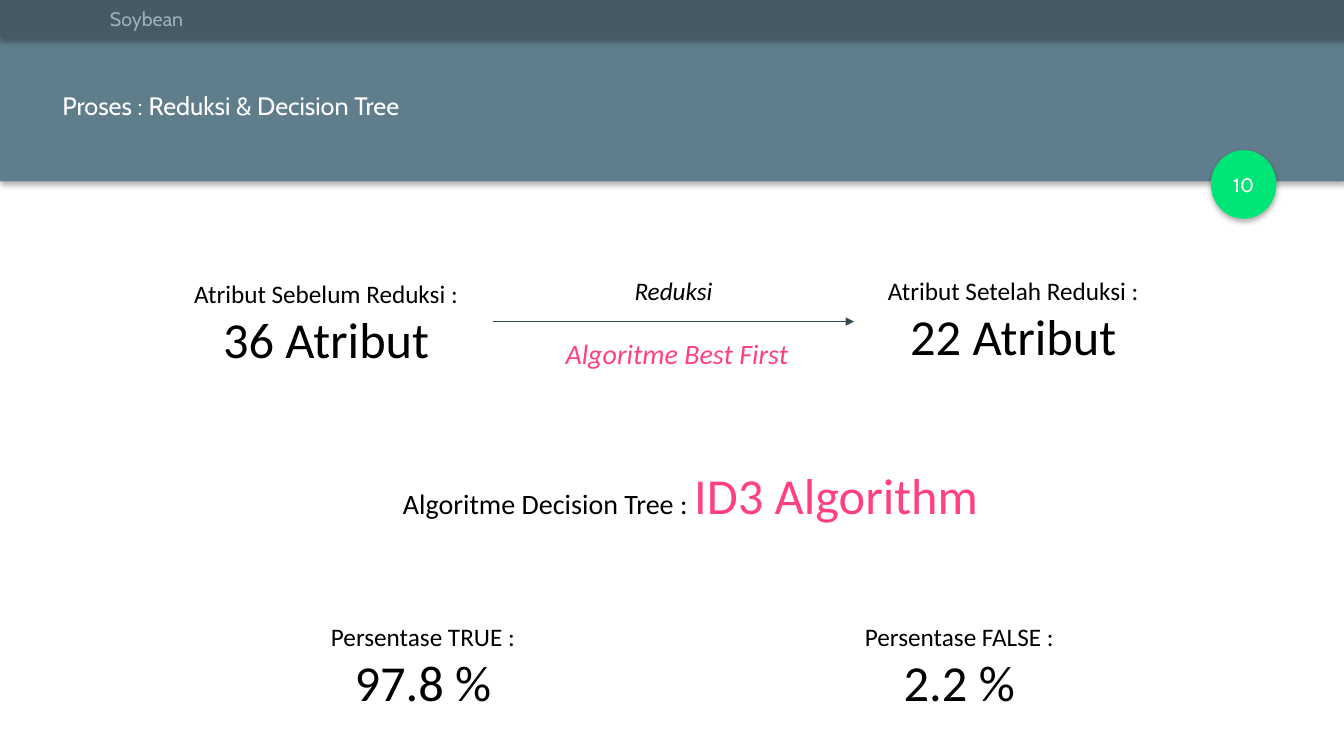
from lxml import etree
from pptx import Presentation
from pptx.dml.color import RGBColor
from pptx.enum.shapes import MSO_CONNECTOR, MSO_SHAPE
from pptx.enum.text import MSO_ANCHOR, MSO_AUTO_SIZE, PP_ALIGN
from pptx.oxml import parse_xml
from pptx.oxml.ns import nsdecls, qn
from pptx.util import Emu, Pt

RECT, OVAL = MSO_SHAPE.RECTANGLE, MSO_SHAPE.OVAL
STRAIGHT = MSO_CONNECTOR.STRAIGHT
LEFT, CENTER = PP_ALIGN.LEFT, PP_ALIGN.CENTER
MIDDLE = MSO_ANCHOR.MIDDLE
FIT_SHAPE = MSO_AUTO_SIZE.SHAPE_TO_FIT_TEXT

EMU_PER_PX = 9144
HEADING_FONT, BODY_FONT = "Cabin", "Calibri"
COLORS = {
    "title_bar": "607D8B",
    "top_bar": "455A64",
    "badge": "00E676",
    "muted": "9FAFB7",
    "accent": "FF4081",
    "arrow": "37474F",
    "white": "FFFFFF",
    "black": "000000",
}


def px(*values):
    return [Emu(v * EMU_PER_PX) for v in values]


def rgb(name):
    return RGBColor.from_string(COLORS[name])


def format_run(r, size, color, font, italic=False):
    r.font.size = Pt(size)
    r.font.name = font
    r.font.color.rgb = rgb(color)
    r.font.italic = italic


def add_shadow(sp):
    sp.shadow.inherit = False
    effects = sp._element.spPr.find(qn("a:effectLst"))
    effects.append(parse_xml(
        f'<a:outerShdw {nsdecls("a")} blurRad="{Pt(4)}" dist="{Pt(2)}" '
        'dir="5400000" algn="t" rotWithShape="0"><a:srgbClr val="000000">'
        '<a:alpha val="30000"/></a:srgbClr></a:outerShdw>'))


def add_panel(s, kind, box, fill, text="", color="white", align=CENTER, indent=10):
    sp = s.shapes.add_shape(kind, *px(*box))
    sp.fill.solid()
    sp.fill.fore_color.rgb = rgb(fill)
    sp.line.fill.background()
    add_shadow(sp)
    if text:
        tf = sp.text_frame
        tf.vertical_anchor = MIDDLE
        tf.margin_left, = px(indent)
        p = tf.paragraphs[0]
        p.text = text
        p.alignment = align
        format_run(p.runs[0], 14, color, HEADING_FONT)


def add_label(s, box, lines, font=BODY_FONT, italic=False):
    tf = s.shapes.add_textbox(*px(*box)).text_frame
    tf.word_wrap = False
    tf.auto_size = FIT_SHAPE
    for i, line in enumerate(lines):
        p = tf.add_paragraph() if i else tf.paragraphs[0]
        p.alignment = CENTER
        for text, size, color in line:
            r = p.add_run()
            r.text = text
            format_run(r, size, color, font, italic)


def add_figure(s, box, caption, value):
    add_label(s, box, [[(caption, 18, "black")], [(value, 36, "black")]])


def add_arrow(s, x1, y1, x2, y2):
    line = s.shapes.add_connector(STRAIGHT, *px(x1, y1, x2, y2))
    line.line.color.rgb = rgb("arrow")
    line.line.width = Pt(0.5)
    ln = line.line._get_or_add_ln()
    etree.SubElement(ln, qn("a:tailEnd"), type="triangle")
    etree.SubElement(line._element.spPr, qn("a:effectLst"))


def main():
    prs = Presentation()
    prs.slide_width, prs.slide_height = px(1333, 750)
    s = prs.slides.add_slide(prs.slide_layouts[6])

    add_panel(s, RECT, (0, 1, 1333, 179), "title_bar")
    add_label(s, (40, 85, 378, 40),
              [[("Proses : Reduksi & Decision Tree", 18, "white")]], HEADING_FONT)
    add_panel(s, RECT, (0, 0, 1333, 37), "top_bar", "Soybean", "muted", LEFT, 109)
    add_panel(s, OVAL, (1201, 149, 65, 68), "badge", "10")

    add_figure(s, (181, 271, 285, 101), "Atribut Sebelum Reduksi :", "36 Atribut")
    add_figure(s, (869, 268, 272, 101), "Atribut Setelah Reduksi :", "22 Atribut")
    add_label(s, (550, 329, 243, 44),
              [[("Algoritme Best First", 20, "accent")]], italic=True)
    add_arrow(s, 489, 319, 847, 319)
    add_label(s, (619, 268, 98, 40), [[("Reduksi", 18, "black")]], italic=True)

    add_figure(s, (317, 611, 205, 101), "Persentase TRUE :", "97.8 %")
    add_figure(s, (847, 611, 209, 101), "Persentase FALSE :", "2.2 %")
    add_label(s, (387, 455, 596, 71),
              [[("Algoritme Decision Tree : ", 20, "black"),
                ("ID3 Algorithm", 36, "accent")]])

    prs.save("out.pptx")


if __name__ == "__main__":
    main()
